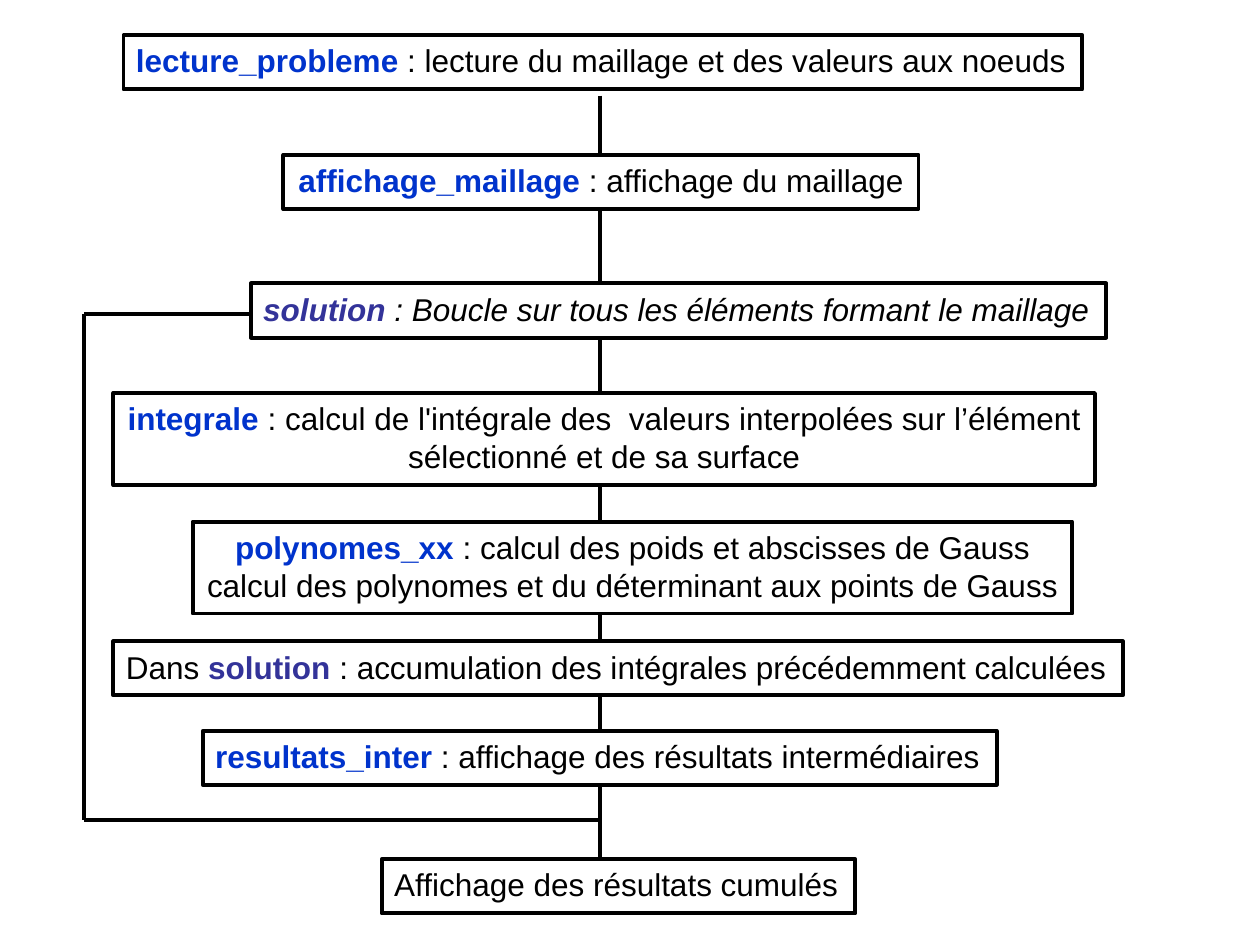
from lxml import etree
from pptx import Presentation
from pptx import util as u
from pptx.dml.color import RGBColor
from pptx.enum import shapes, text
from pptx.oxml import ns

BLACK = RGBColor(0, 0, 0)
WHITE = RGBColor(255, 255, 255)
BLUE = RGBColor(0x00, 0x33, 0xCC)
VIOLET = RGBColor(0x33, 0x33, 0x99)

AXIS = 4.76  # x of the main flow
LOOP = 0.67  # x of the loop's return
START, END = 2.49, 6.51  # y of the loop's two ends
LAST = 6.82  # top of the final step

LEFT, MID = text.PP_ALIGN.LEFT, text.PP_ALIGN.CENTER


class Chart:
    font = "Arial"
    size = u.Pt(18)
    width = u.Pt(2.25)

    def __init__(self, slide):
        self.slide = slide

    def line(self, x1, y1, x2, y2):
        ends = [u.Inches(v) for v in (x1, y1, x2, y2)]
        line = self.slide.shapes.add_connector(shapes.MSO_CONNECTOR.STRAIGHT, *ends)
        line.line.color.rgb = BLACK
        line.line.width = self.width
        props = line._element.spPr
        etree.SubElement(props, ns.qn("a:effectLst"))

    def step(self, x, y, w, rows, align=LEFT, fill=WHITE, italic=None):
        """Draw a framed step; each row is a list of (words, key colour or None)."""
        high = 0.43 + 0.3 * (len(rows) - 1)
        place = [u.Inches(v) for v in (x, y, w, high)]
        box = self.slide.shapes.add_shape(shapes.MSO_SHAPE.RECTANGLE, *place)
        box.shadow.inherit = False
        if fill is None:
            box.fill.background()
        else:
            box.fill.solid()
            box.fill.fore_color.rgb = fill
        box.line.color.rgb = BLACK
        box.line.width = self.width
        frame = box.text_frame
        frame.word_wrap = False
        frame.auto_size = text.MSO_AUTO_SIZE.SHAPE_TO_FIT_TEXT
        frame.vertical_anchor = text.MSO_ANCHOR.TOP
        frame.text = "\n".join("" for _ in rows)
        for para, row in zip(frame.paragraphs, rows):
            para.alignment = align
            for words, key in row:
                run = para.add_run()
                run.text = words
                run.font.name = self.font
                run.font.size = self.size
                run.font.bold = key is not None
                run.font.italic = italic
                run.font.color.rgb = key or BLACK


def main():
    deck = Presentation()
    deck.slide_width, deck.slide_height = u.Inches(10), u.Inches(7.5)
    chart = Chart(deck.slides.add_slide(deck.slide_layouts[6]))

    chart.line(AXIS, 0.76, AXIS, LAST)
    chart.line(LOOP, START, LOOP, END)
    chart.line(LOOP, END, AXIS, END)
    chart.line(LOOP, START, 2.09, START)

    chart.step(0.98, 0.28, 7.61, [
        [("lecture_probleme", BLUE),
         (" : lecture du maillage et des valeurs aux noeuds", None)]], fill=None)
    chart.step(2.25, 1.23, 5.04, [
        [("affichage_maillage", BLUE), (" : affichage du maillage", None)]], MID)
    chart.step(1.99, 2.25, 6.79, [
        [("solution", VIOLET),
         (" : Boucle sur tous les éléments formant le maillage", None)]], italic=True)
    chart.step(0.9, 3.12, 7.79, [
        [("integrale", BLUE),
         (" : calcul de l'intégrale des  valeurs interpolées sur l’élément", None)],
        [("sélectionné et de sa surface", None)]], MID)
    chart.step(1.53, 4.14, 6.98, [
        [("polynomes_xx", BLUE), (" : calcul des poids et abscisses de Gauss", None)],
        [("calcul des polynomes et du déterminant aux points de Gauss", None)]], MID)
    chart.step(0.9, 5.09, 8.01, [
        [("Dans ", None), ("solution ", VIOLET),
         (": accumulation des intégrales précédemment calculées", None)]])
    chart.step(1.61, 5.8, 6.3, [
        [("resultats_inter", BLUE),
         (" : affichage des résultats intermédiaires", None)]])
    chart.step(3.03, LAST, 3.76, [
        [("Affichage des résultats cumulés", None)]], fill=None)

    deck.save("out.pptx")


if __name__ == "__main__":
    main()
